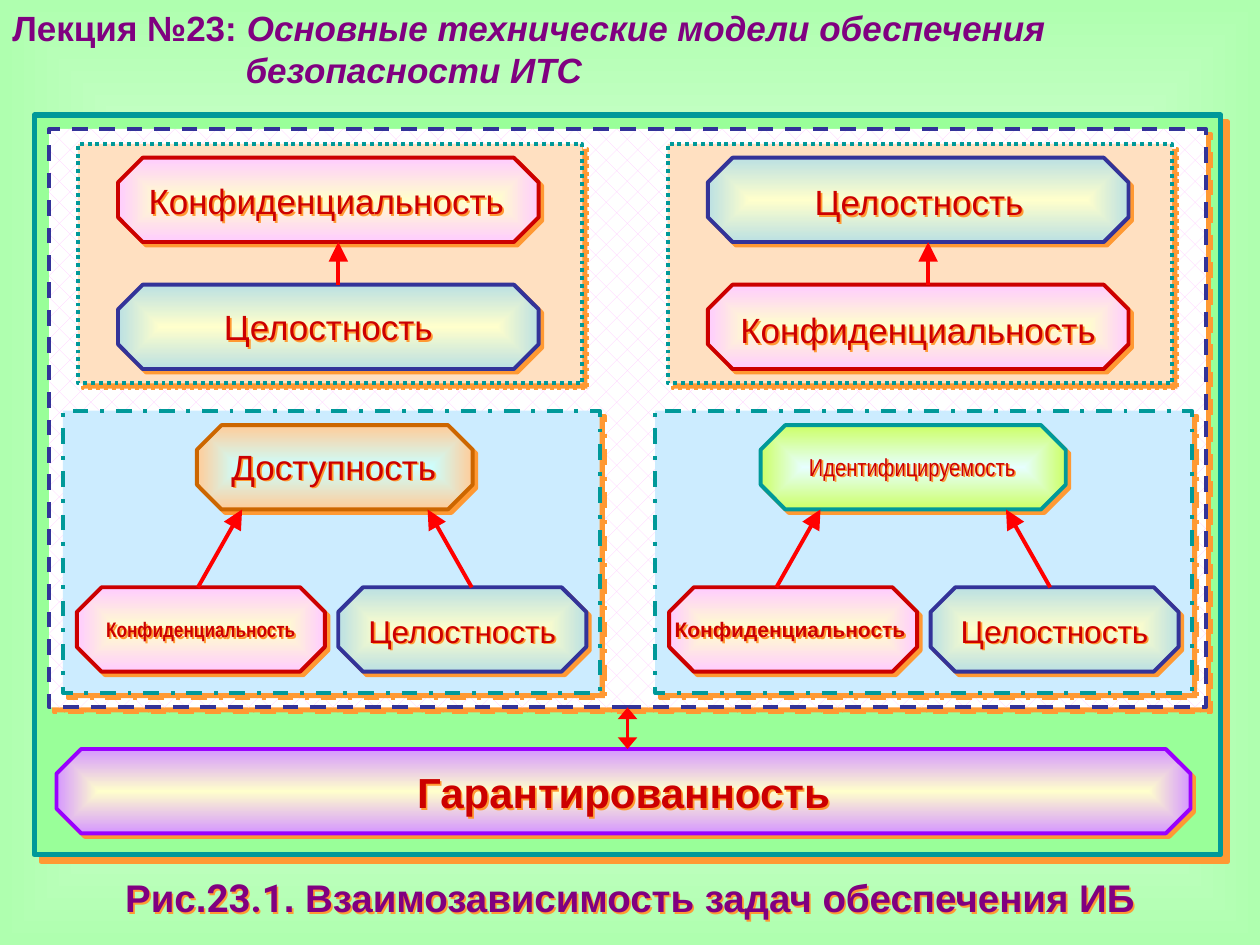
"""Build the lecture slide on how information security goals depend on each other."""
from lxml import etree
from pptx import Presentation
from pptx import util as u
from pptx.dml.color import RGBColor
from pptx.enum import dml, shapes, text
from pptx.oxml.ns import qn

WHITE = RGBColor(0xFF, 0xFF, 0xFF)
MINT = RGBColor(0xAF, 0xFF, 0xAF)
GREEN = RGBColor(0x99, 0xFF, 0x99)
LIME = RGBColor(0xCC, 0xFF, 0x66)
TEAL = RGBColor(0x00, 0x99, 0x99)
ICE = RGBColor(0xE7, 0xFF, 0xFF)
AQUA = RGBColor(0xCC, 0xFF, 0xFF)
SKY = RGBColor(0xCC, 0xEC, 0xFF)
MIST = RGBColor(0xBB, 0xE0, 0xE3)
NAVY = RGBColor(0x33, 0x33, 0x99)
PURPLE = RGBColor(0x80, 0x00, 0x80)
VIOLET = RGBColor(0x99, 0x00, 0xFF)
LILAC = RGBColor(0xD5, 0x97, 0xFF)
PINK = RGBColor(0xFF, 0xCC, 0xFF)
CREAM = RGBColor(0xFF, 0xFF, 0xCC)
PEACH = RGBColor(0xFF, 0xE0, 0xC1)
APRICOT = RGBColor(0xFF, 0xCC, 0x99)
ORANGE = RGBColor(0xFF, 0x99, 0x33)
BROWN = RGBColor(0xCC, 0x66, 0x00)
CRIMSON = RGBColor(0xCC, 0x00, 0x00)
RED = RGBColor(0xFF, 0x00, 0x00)

CONFIDENTIALITY = ("Конфиденциальность", CREAM, PINK, CRIMSON)
INTEGRITY = ("Целостность", CREAM, MIST, NAVY)
AVAILABILITY = ("Доступность", AQUA, APRICOT, BROWN)
IDENTIFIABILITY = ("Идентифицируемость", ICE, LIME, TEAL)
ASSURANCE = ("Гарантированность", CREAM, LILAC, VIOLET)

GOAL_HEIGHT = 1.7
DASH = dml.MSO_LINE


def add_gradient(fill, element, centre, edge):
    """Fill from the centre colour out to the edge colour."""
    fill.gradient()
    for stop, color, position in zip(fill.gradient_stops, (centre, edge), (0, 1)):
        stop.color.rgb = color
        stop.position = position
    gradient = element.find(".//" + qn("a:gradFill"))
    gradient.remove(gradient.find(qn("a:lin")))
    course = etree.SubElement(gradient, qn("a:path"), path="shape")
    etree.SubElement(course, qn("a:fillToRect"), l="50000", t="50000", r="50000", b="50000")


def add_shadow(shape, distance):
    """Give a shape a hard orange shadow towards the lower right."""
    shape.shadow.inherit = False
    effects = shape.element.spPr.find(qn("a:effectLst"))
    shadow = etree.SubElement(effects, qn("a:outerShdw"), dist=str(u.Pt(distance)),
                              dir="2700000", algn="ctr", rotWithShape="0")
    etree.SubElement(shadow, qn("a:srgbClr"), val=str(ORANGE))


def add_shape(page, kind, area, line, width, shadow):
    """Add an outlined shape with a shadow."""
    shape = page.shapes.add_shape(kind, *map(u.Cm, area))
    shape.line.color.rgb = line
    shape.line.width = u.Pt(width)
    add_shadow(shape, shadow)
    return shape


def add_panel(page, area, color, line, dash=None, width=2.25, shadow=4.2):
    """Add a rectangular panel, patterned when two colours are given."""
    panel = add_shape(page, shapes.MSO_SHAPE.RECTANGLE, area, line, width, shadow)
    if isinstance(color, RGBColor):
        panel.fill.solid()
        panel.fill.fore_color.rgb = color
    else:
        panel.fill.patterned()
        panel.fill.pattern = dml.MSO_PATTERN.DIAGONAL_BRICK
        panel.fill.fore_color.rgb, panel.fill.back_color.rgb = color
    if dash:
        panel.line.dash_style = dash


def format_span(span, size, color, font="Arial", bold=False, italic=False):
    """Set the font of one run."""
    span.font.size = u.Pt(size)
    span.font.color.rgb = color
    span.font.name = font
    span.font.bold = bold
    span.font.italic = italic


def add_label(page, centre, width, pieces, size, color, bold=False):
    """Add a centred line of (words, font) pieces around a centre point."""
    height = 0.042 * size
    x, y = centre
    area = (x - width / 2, y - height / 2, width, height)
    box = page.shapes.add_textbox(*map(u.Cm, area))
    add_shadow(box, 1.4)
    frame = box.text_frame
    frame.word_wrap = True
    frame.auto_size = text.MSO_AUTO_SIZE.SHAPE_TO_FIT_TEXT
    frame.vertical_anchor = text.MSO_ANCHOR.MIDDLE
    frame.margin_left = frame.margin_right = frame.margin_top = frame.margin_bottom = 0
    para = frame.paragraphs[0]
    para.alignment = text.PP_ALIGN.CENTER
    for words, font in pieces:
        span = para.add_run()
        span.text = words
        format_span(span, size, color, font, bold)


def add_goal(page, goal, left, top, width, size, font="Arial", bold=False, shift=(0, 0.02)):
    """Add a security goal as an octagon with its name."""
    name, centre, edge, line = goal
    octagon = add_shape(page, shapes.MSO_SHAPE.OCTAGON, (left, top, width, GOAL_HEIGHT),
                        line, 2.25, 2.8)
    octagon.adjustments[0] = 0.293
    add_gradient(octagon.fill, octagon.element, centre, edge)
    right, down = shift
    add_label(page, (left + width / 2 + right, top + GOAL_HEIGHT / 2 + down), width,
              [(name, font)], size, CRIMSON, bold)


def add_arrow(page, start, end, ends=("tailEnd",), length="lg"):
    """Add a red arrow with wide heads at the named ends."""
    arrow = page.shapes.add_connector(shapes.MSO_CONNECTOR.STRAIGHT,
                                      *map(u.Cm, (*start, *end)))
    arrow.line.color.rgb = RED
    arrow.line.width = u.Pt(2.25)
    properties = arrow.element.spPr
    for name in ends:
        etree.SubElement(properties.find(qn("a:ln")), qn("a:" + name),
                         type="triangle", w="lg", len=length)
    etree.SubElement(properties, qn("a:effectLst"))


def add_pair(page, left, upper, lower, upper_shift, lower_shift):
    """Add a panel where the upper goal rests on the lower one."""
    add_panel(page, (left, 2.9, 10.17, 4.83), PEACH, TEAL, DASH.ROUND_DOT)
    for goal, top, shift in ((upper, 3.18, upper_shift), (lower, 5.74, lower_shift)):
        add_goal(page, goal, left + 0.81, top, 8.48, 20, shift=shift)
    add_arrow(page, (left + 5.25, 5.74), (left + 5.25, 3.18 + GOAL_HEIGHT))


def add_triad(page, left, apex, centre, width, size, fonts, base_shift):
    """Add a panel where the apex goal rests on two others."""
    apex_font, base_font = fonts
    add_panel(page, (left, 8.28, 10.82, 5.69), SKY, TEAL, DASH.DASH_DOT)
    add_goal(page, apex, centre - width / 2, 8.57, width, size, apex_font,
             shift=(-0.02, -0.02))
    add_goal(page, CONFIDENTIALITY, left + 0.28, 11.84, 5, 12, base_font, True, base_shift)
    add_goal(page, INTEGRITY, left + 5.55, 11.84, 5, 18)
    for side in (-1, 1):
        add_arrow(page, (centre + side * 2.76, 11.84),
                  (centre + side * 1.87, 8.57 + GOAL_HEIGHT))


def add_title(page):
    """Add the lecture title over two lines."""
    box = page.shapes.add_textbox(0, 0, u.Cm(25.4), u.Cm(1.96))
    frame = box.text_frame
    frame.word_wrap = True
    frame.auto_size = text.MSO_AUTO_SIZE.SHAPE_TO_FIT_TEXT
    first, second = frame.paragraphs[0], frame.add_paragraph()
    second._p.get_or_add_pPr().set("marL", str(u.Cm(4.7)))
    for para, words, italic in ((first, "Лекция №23: ", False),
                                (first, "Основные технические модели обеспечения", True),
                                (second, "безопасности ИТС", True)):
        span = para.add_run()
        span.text = words
        format_span(span, 20, PURPLE, bold=True, italic=italic)


def main():
    """Build the slide and save it."""
    deck = Presentation()
    deck.slide_width, deck.slide_height = u.Cm(25.4), u.Cm(19.05)
    page = deck.slides.add_slide(deck.slide_layouts[6])
    add_gradient(page.background.fill, page.element, WHITE, MINT)
    add_title(page)
    add_panel(page, (0.69, 2.32, 23.92, 14.91), GREEN, TEAL, width=3, shadow=5.7)
    add_panel(page, (0.99, 2.6, 23.32, 11.66), (PINK, WHITE), NAVY, DASH.DASH)
    add_pair(page, 1.57, CONFIDENTIALITY, INTEGRITY, (-0.04, 0.02), (0, 0))
    add_pair(page, 13.46, INTEGRITY, CONFIDENTIALITY, (0.02, 0.04), (0, 0.06))
    add_triad(page, 1.27, AVAILABILITY, 6.75, 5.56, 20, ("Arial", "Arial Narrow"), (0, 0))
    add_triad(page, 13.21, IDENTIFIABILITY, 18.41, 6.15, 14, ("Arial Narrow", "Arial"),
              (-0.06, 0))
    add_goal(page, ASSURANCE, 1.14, 15.1, 22.86, 24, bold=True)
    add_arrow(page, (12.65, 15.1), (12.65, 14.26), ("headEnd", "tailEnd"), "med")
    add_label(page, (12.7, 18.09), 24,
              [("Рис.", "Arial"), ("23.1", "Roboto"),
               (". Взаимозависимость задач обеспечения ИБ", "Arial")], 22, PURPLE, True)
    deck.save("out.pptx")


if __name__ == "__main__":
    main()
